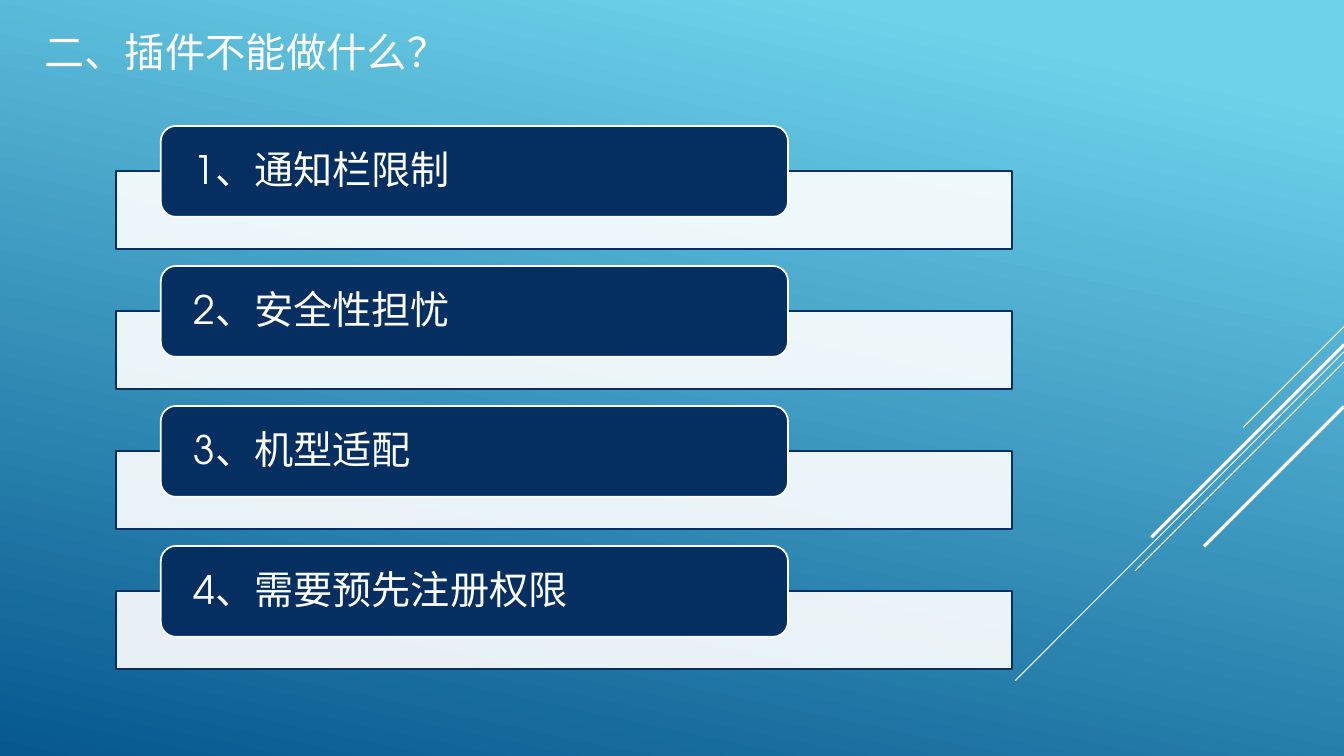
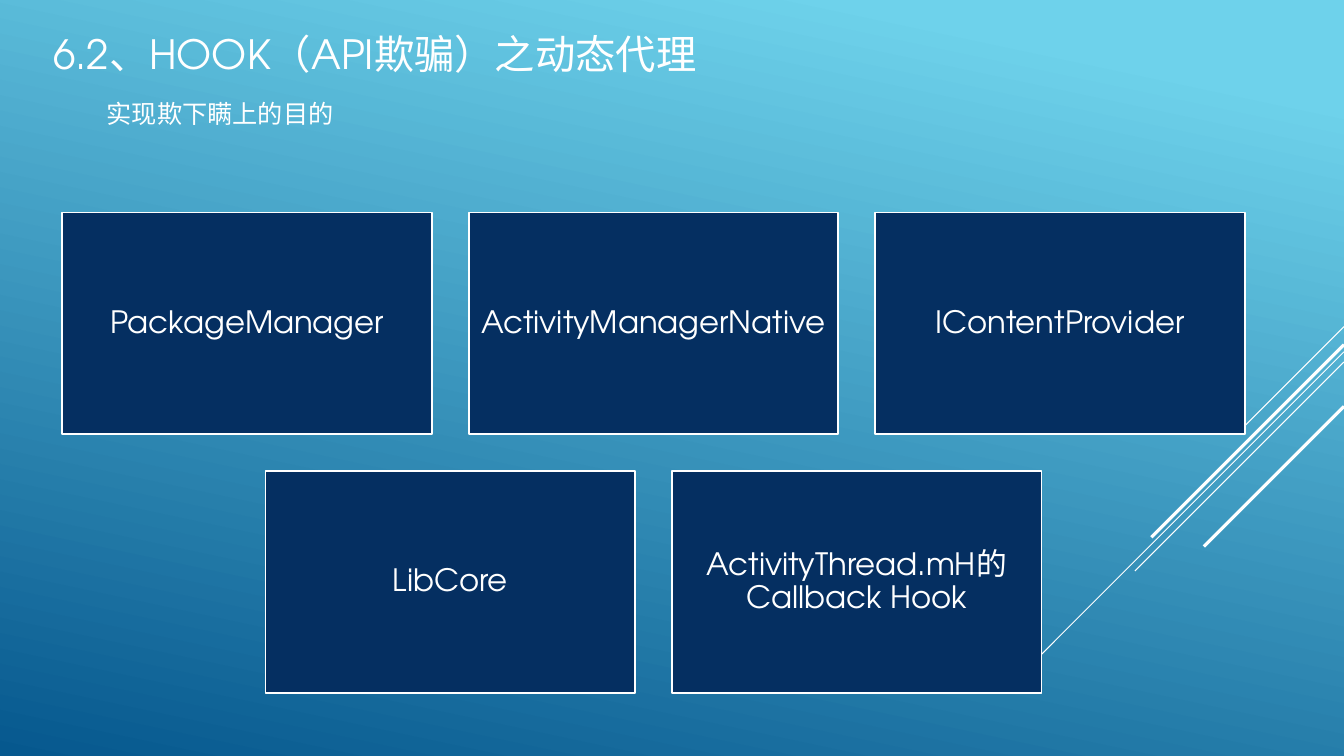
from collections import namedtuple

from lxml.etree import SubElement
from pptx import Presentation
from pptx.dml.color import RGBColor
from pptx.enum.shapes import MSO_CONNECTOR as Connector, MSO_SHAPE as Preset
from pptx.enum.text import MSO_ANCHOR as Anchor, PP_ALIGN as Align
from pptx.oxml.ns import qn
from pptx.util import Pt

Box = namedtuple("Box", "left top width height")

COLOURS = {
    "sky": "6ED2EB",
    "ocean": "06588E",
    "navy": "052F61",
    "white": "FFFFFF",
}
FONT = "TeX Gyre Adventor"
PAGE_WIDTH, PAGE_HEIGHT = 960, 540
OUTLINE = 1.25

# Diagonal rays: start height on the right edge, run to the lower left, weight
RAYS = [
    (233.3, 72, 0.75),
    (251.3, 234.9, 0.75),
    (258.6, 149.3, 0.75),
    (246.2, 137.6, 2.25),
    (290.3, 100.1, 2.25),
]


def colour(name):
    return RGBColor.from_string(COLOURS[name])


def write(shape, text, size, align=Align.LEFT, spacing=None, anchor=Anchor.MIDDLE,
          insets=(7.2, 3.6)):
    frame = shape.text_frame
    frame.word_wrap = True
    frame.vertical_anchor = anchor
    frame.margin_left = frame.margin_right = Pt(insets[0])
    frame.margin_top = frame.margin_bottom = Pt(insets[1])
    para = frame.paragraphs[0]
    para.text = text
    para.alignment = align
    para.line_spacing = spacing
    para.font.name = FONT
    para.font.size = Pt(size)
    para.font.color.rgb = colour("white")


def add_text(page, box, text, size, **style):
    write(page.shapes.add_textbox(*map(Pt, box)), text, size, **style)


def add_panel(page, preset, box, fill, line):
    panel = page.shapes.add_shape(preset, *map(Pt, box))
    panel.shadow.inherit = False
    panel.fill.solid()
    panel.fill.fore_color.rgb = colour(fill)
    panel.line.color.rgb = colour(line)
    panel.line.width = Pt(OUTLINE)
    return panel


def set_opacity(shape, percent):
    solid = shape.fill._xPr.find(qn("a:solidFill"))
    SubElement(solid[0], qn("a:alpha"), val=str(percent * 1000))


def add_backdrop(page):
    fill = page.background.fill
    fill.gradient()
    fill.gradient_angle = 360 - 102
    for stop, name, position in zip(fill.gradient_stops, ("sky", "ocean"), (0.1, 1)):
        stop.color.rgb = colour(name)
        stop.position = position
    for top, run, weight in RAYS:
        ray = page.shapes.add_connector(
            Connector.STRAIGHT, Pt(PAGE_WIDTH), Pt(top), Pt(PAGE_WIDTH - run), Pt(top + run))
        ray.line.color.rgb = colour("white")
        ray.line.width = Pt(weight)
        SubElement(ray._element.spPr, qn("a:effectLst"))


def add_page(deck, title, left, top):
    page = deck.slides.add_slide(deck.slide_layouts[6])
    add_backdrop(page)
    add_text(page, Box(left, top, 792, 44), title, 28.8, spacing=0.9)
    return page


def add_pill_list(page, box, items):
    """Stack pale bars, each with a dark pill over its upper edge."""
    pitch, bar_height, pill_height, drop = 100, 55.4, 64.9, 32.4
    for index, item in enumerate(items):
        top = box.top + index * pitch
        bar = add_panel(page, Preset.RECTANGLE,
                        Box(box.left, top + drop, box.width, bar_height), "white", "navy")
        set_opacity(bar, 90)
        pill = add_panel(page, Preset.ROUNDED_RECTANGLE,
                         Box(box.left + box.width * 0.05, top, box.width * 0.7, pill_height),
                         "navy", "white")
        write(pill, item, 28, spacing=0.9, insets=(20.2, 0))


def add_tiles(page, box, rows):
    """Lay out centred rows of tiles; the gap is a tenth of a tile's width."""
    columns = max(map(len, rows))
    width = box.width / (columns + (columns - 1) * 0.1)
    gap, height = width * 0.1, width * 0.6
    for row_index, labels in enumerate(rows):
        row_width = len(labels) * (width + gap) - gap
        left = box.left + (box.width - row_width) / 2
        top = box.top + row_index * (height + gap)
        for index, label in enumerate(labels):
            tile = add_panel(page, Preset.RECTANGLE,
                             Box(left + index * (width + gap), top, width, height),
                             "navy", "white")
            write(tile, label, 22, align=Align.CENTER, spacing=0.9, insets=(6.6, 6.6))


def build_limits(deck):
    page = add_page(deck, "二、插件不能做什么？", 24.5, 16.6)
    add_pill_list(page, Box(82.9, 90, 640, 388),
                  ["1、通知栏限制", "2、安全性担忧", "3、机型适配", "4、需要预先注册权限"])


def build_hooks(deck):
    page = add_page(deck, "6.2、HOOK（API欺骗）之动态代理", 31, 18)
    add_text(page, Box(69.1, 67, 386, 29), "实现欺下瞒上的目的", 18, anchor=Anchor.TOP)
    add_tiles(page, Box(44.5, 151.7, 844.6, 343.2), [
        ["PackageManager", "ActivityManagerNative", "IContentProvider"],
        ["LibCore", "ActivityThread.mH的Callback Hook"],
    ])


def main():
    deck = Presentation()
    deck.slide_width, deck.slide_height = Pt(PAGE_WIDTH), Pt(PAGE_HEIGHT)
    build_limits(deck)
    build_hooks(deck)
    deck.save("out.pptx")


if __name__ == "__main__":
    main()
